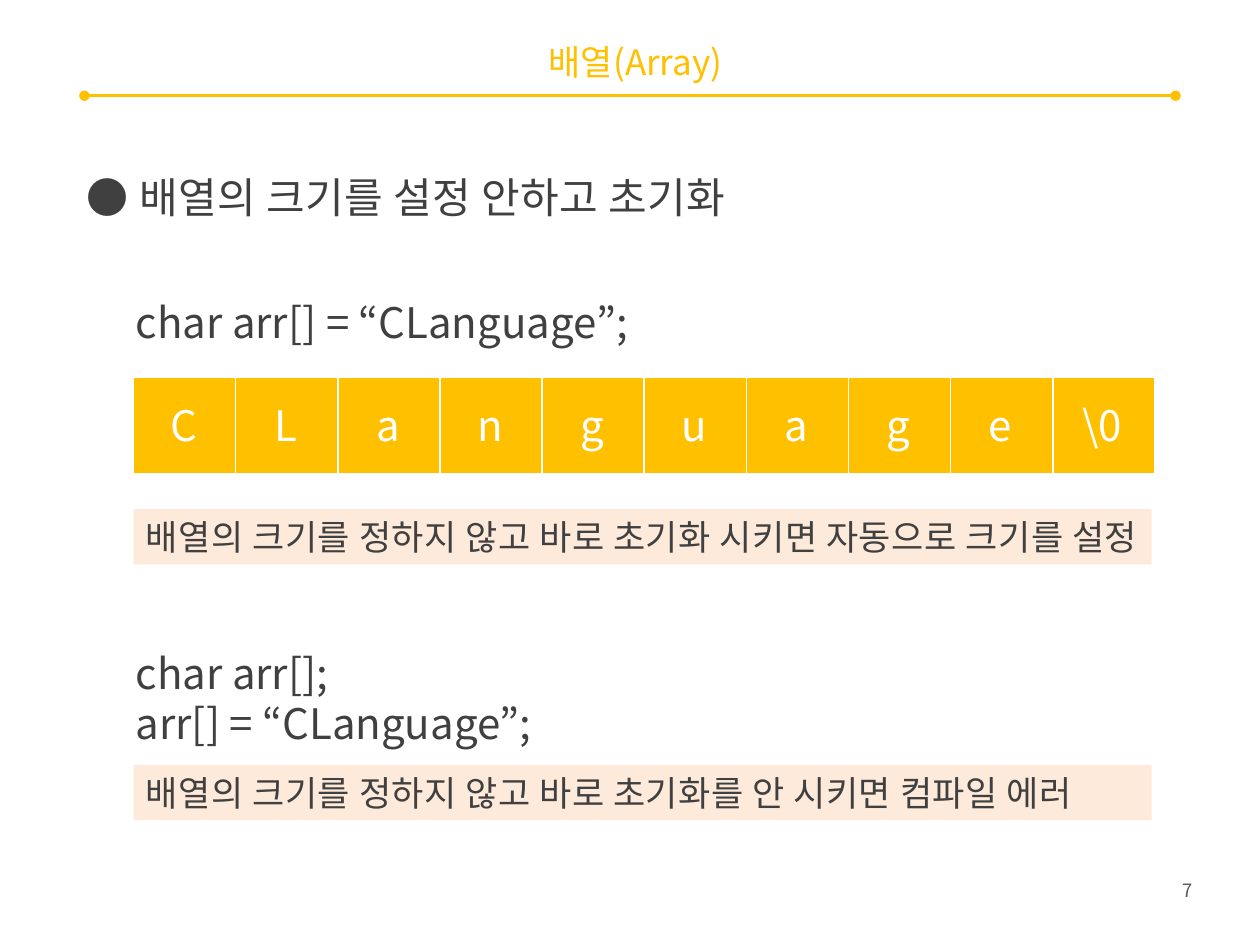
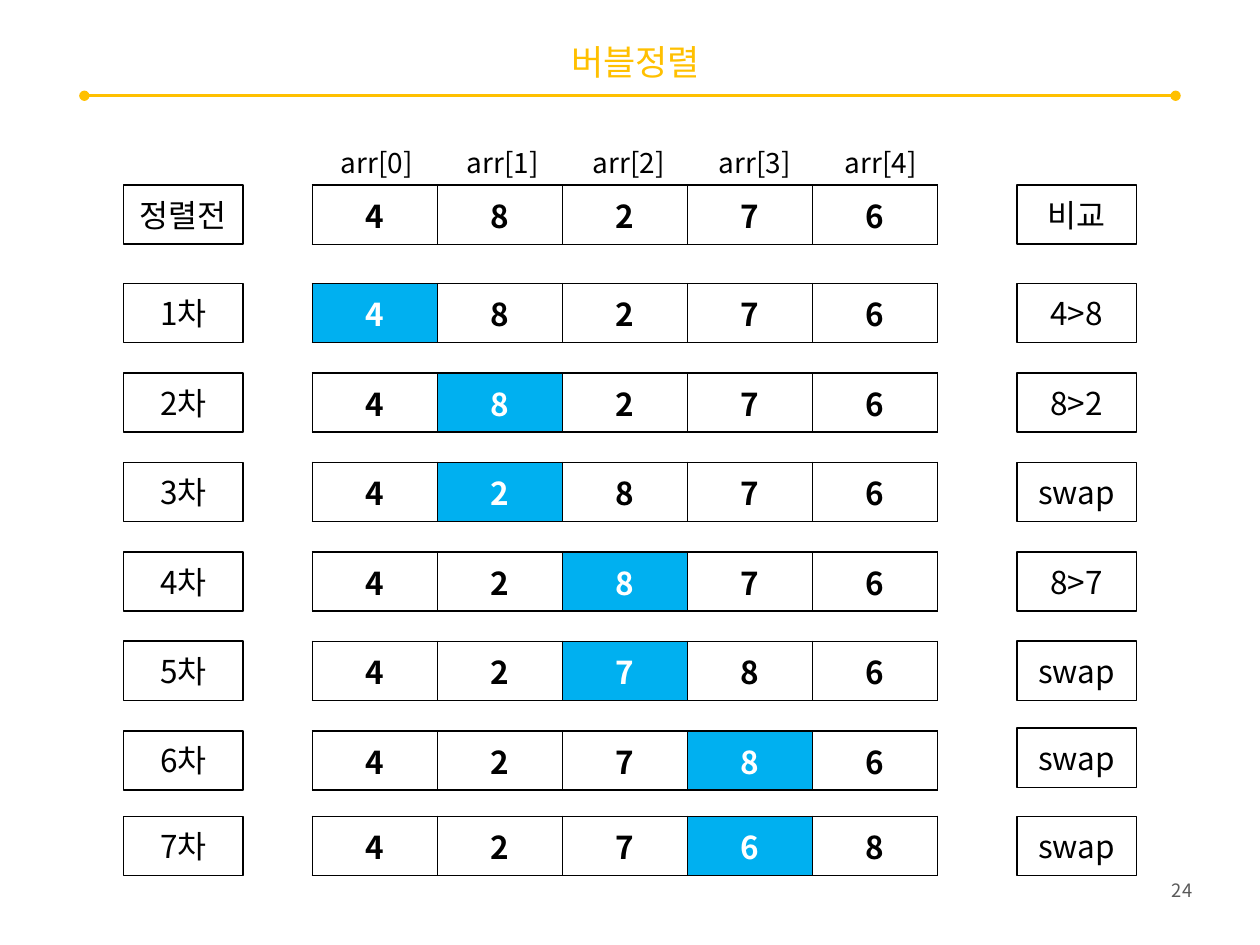
from lxml import etree
from pptx import Presentation
from pptx.dml.color import RGBColor
from pptx.enum.shapes import MSO_CONNECTOR, MSO_SHAPE
from pptx.enum.text import MSO_ANCHOR, PP_ALIGN
from pptx.oxml.ns import qn
from pptx.util import Inches, Pt

LEFT, CENTER, RIGHT = PP_ALIGN.LEFT, PP_ALIGN.CENTER, PP_ALIGN.RIGHT
MIDDLE = MSO_ANCHOR.MIDDLE
RECTANGLE = MSO_SHAPE.RECTANGLE
STRAIGHT = MSO_CONNECTOR.STRAIGHT
FONT = "Noto Sans CJK KR"
COLORS = {
    "gold": "FFC000",
    "text": "404040",
    "number": "595959",
    "note": "FDEADA",
    "active": "00B0F0",
    "black": "000000",
    "white": "FFFFFF",
}


def write(frame, text, size, color, align=LEFT, bold=False, tracking=0):
    frame.text = text
    frame.word_wrap = True
    frame.vertical_anchor = MIDDLE
    frame.margin_top = frame.margin_bottom = 0
    for paragraph in frame.paragraphs:
        paragraph.alignment = align
        for run in paragraph.runs:
            run.font.size = Pt(size)
            run.font.bold = bold
            run.font.color.rgb = RGBColor.from_string(COLORS[color])
            run.font.name = FONT
            etree.SubElement(run.font._element, qn("a:ea"), typeface=FONT)
            if tracking:
                run.font._element.set("spc", str(tracking))


def add_cells(slide, values, box, fills, inks, border):
    table = slide.shapes.add_table(1, len(values), *map(Inches, box)).table
    table.first_row = table.horz_banding = False
    for index, value in enumerate(values):
        table.columns[index].width = Inches(box[2] / len(values))
        cell = table.cell(0, index)
        write(cell.text_frame, value, 18, inks[index], CENTER, bold=True)
        cell.vertical_anchor = MIDDLE
        cell.margin_top = cell.margin_bottom = 0
        cell.fill.solid()
        cell.fill.fore_color.rgb = RGBColor.from_string(COLORS[fills[index]])
        properties = cell._tc.get_or_add_tcPr()
        for position, side in enumerate(("lnL", "lnR", "lnT", "lnB")):
            edge = etree.Element(qn(f"a:{side}"), w=str(Pt(1)))
            paint = etree.SubElement(edge, qn("a:solidFill"))
            etree.SubElement(paint, qn("a:srgbClr"), val=COLORS[border])
            properties.insert(position, edge)


deck = Presentation()
deck.slide_width, deck.slide_height = Inches(10), Inches(7.5)

for title, number in (("배열(Array)", "7"), ("버블정렬", "24")):
    slide = deck.slides.add_slide(deck.slide_layouts[6])
    rule = slide.shapes.add_connector(
        STRAIGHT, Inches(0.67), Inches(0.76), Inches(9.33), Inches(0.76))
    rule.line.color.rgb = RGBColor.from_string(COLORS["gold"])
    rule.line.width = Pt(1.75)
    outline = rule.line._get_or_add_ln()
    for end in ("headEnd", "tailEnd"):
        etree.SubElement(outline, qn(f"a:{end}"), type="oval")
    etree.SubElement(rule._element.spPr, qn("a:effectLst"))
    for text, box, size, color, align in (
        (title, (0.83, 0.3, 8.43, 0.38), 20, "gold", CENTER),
        (number, (8.97, 6.92, 0.59, 0.29), 10.5, "number", RIGHT),
    ):
        write(slide.shapes.add_textbox(*map(Inches, box)).text_frame, text, size, color, align)

array_slide, sort_slide = deck.slides

for text, box, tracking in (
    ("● 배열의 크기를 설정 안하고 초기화", (0.59, 1.31, 6.06, 0.5), 28),
    ("char arr[] = “CLanguage”;", (0.98, 2.3, 4.96, 0.5), 0),
    ("char arr[];\narr[] = “CLanguage”;", (0.98, 5.08, 4.96, 0.91), 0),
):
    code = array_slide.shapes.add_textbox(*map(Inches, box)).text_frame
    write(code, text, 24, "text", tracking=tracking)
    if len(code.paragraphs) > 1:
        for line in code.paragraphs:
            line.line_spacing = Pt(28.8)

letters = [*"CLanguage", "\\0"]
add_cells(array_slide, [""] * len(letters), (1.06, 2.99, 8.11, 0.77),
          ["gold"] * len(letters), ["white"] * len(letters), "white")
for index, letter in enumerate(letters):
    character = array_slide.shapes.add_textbox(
        Inches(1.06 + 0.81 * index), Inches(3.12), Inches(0.8), Inches(0.5))
    write(character.text_frame, letter, 24, "white", CENTER)

for text, top in (
    ("배열의 크기를 정하지 않고 바로 초기화 시키면 자동으로 크기를 설정", 4.04),
    ("배열의 크기를 정하지 않고 바로 초기화를 안 시키면 컴파일 에러", 6.07),
):
    note = array_slide.shapes.add_shape(
        RECTANGLE, Inches(1.06), Inches(top), Inches(8.08), Inches(0.44))
    note.shadow.inherit = False
    note.fill.solid()
    note.fill.fore_color.rgb = RGBColor.from_string(COLORS["note"])
    note.line.fill.background()
    write(note.text_frame, text, 20, "text", tracking=28)

for index in range(5):
    label = sort_slide.shapes.add_textbox(
        Inches(2.48 + index), Inches(1.1), Inches(1.02), Inches(0.37))
    write(label.text_frame, f"arr[{index}]", 16, "black", CENTER)

ROW_HEIGHT = 0.47
steps = (
    (1.47, "정렬전", "48276", None, 1.47, "비교"),
    (2.25, "1차", "48276", 0, 2.25, "4>8"),
    (2.96, "2차", "48276", 1, 2.96, "8>2"),
    (3.67, "3차", "42876", 1, 3.67, "swap"),
    (4.38, "4차", "42876", 2, 4.38, "8>7"),
    (5.09, "5차", "42786", 2, 5.09, "swap"),
    (5.8, "6차", "42786", 3, 5.78, "swap"),
    (6.48, "7차", "42768", 3, 6.48, "swap"),
)
for top, step, values, active, comparison_top, comparison in steps:
    fills = ["active" if i == active else "white" for i in range(5)]
    inks = ["white" if i == active else "black" for i in range(5)]
    add_cells(sort_slide, values, (2.48, top, 4.96, ROW_HEIGHT), fills, inks, "black")
    for text, left, caption_top in ((step, 0.98, top), (comparison, 8.07, comparison_top)):
        caption = sort_slide.shapes.add_shape(
            RECTANGLE, Inches(left), Inches(caption_top), Inches(0.95), Inches(ROW_HEIGHT))
        caption.shadow.inherit = False
        caption.fill.solid()
        caption.fill.fore_color.rgb = RGBColor.from_string(COLORS["white"])
        caption.line.color.rgb = RGBColor.from_string(COLORS["black"])
        caption.line.width = Pt(1)
        write(caption.text_frame, text, 18, "black", CENTER)

deck.save("out.pptx")
